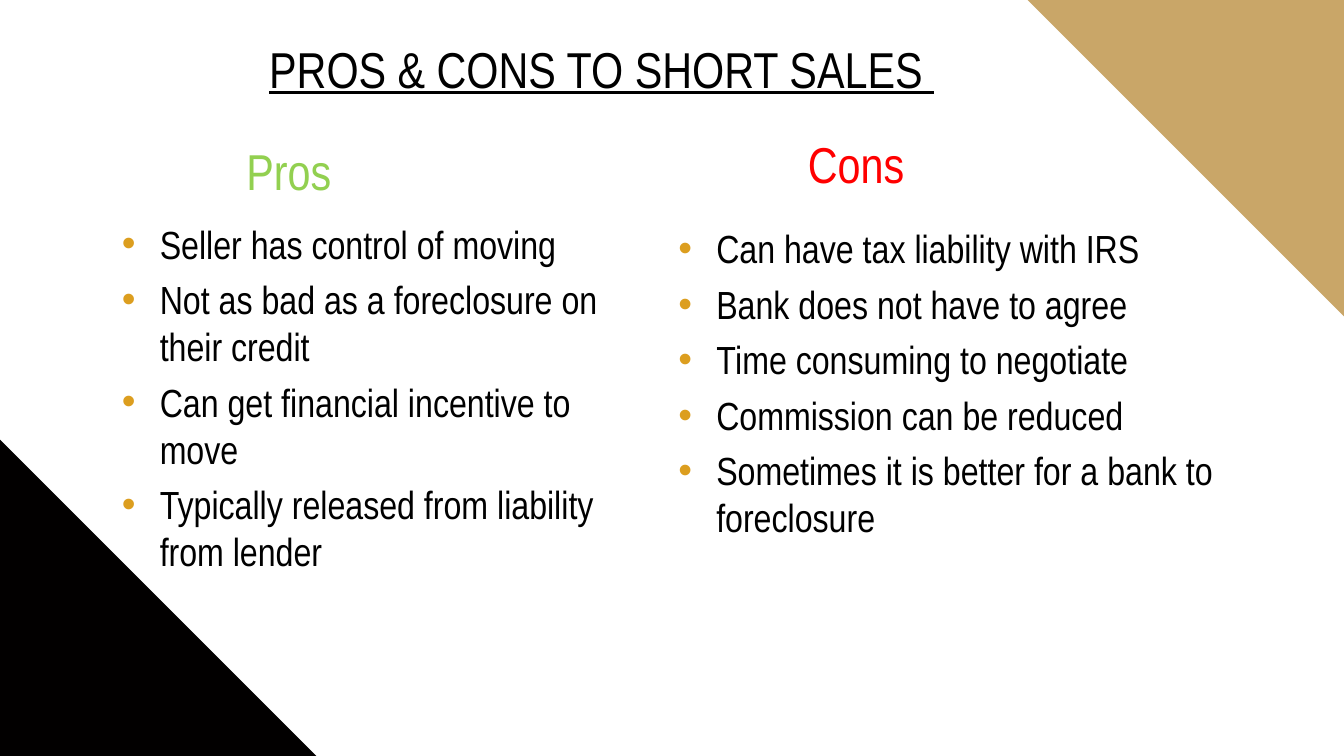
from dataclasses import dataclass

from lxml.etree import SubElement
from pptx import Presentation
from pptx.dml.color import RGBColor
from pptx.enum.shapes import MSO_SHAPE
from pptx.enum.text import PP_ALIGN
from pptx.oxml.ns import qn
from pptx.util import Pt


@dataclass(frozen=True)
class Theme:
    """Colours, font and type sizes of the slide."""

    font: str = "Arial Narrow"
    heading_size: int = 36
    list_size: int = 28
    text: str = "000000"
    pros: str = "92D050"
    cons: str = "FF0000"
    bullet: str = "DC9E1F"
    dark_corner: str = "020000"
    gold_corner: str = "C9A668"


THEME = Theme()
PAGE_WIDTH, PAGE_HEIGHT = 960, 540
CORNER_SIDE = 226
INSET = 3.6
INDENT = 27

PROS = [
    "Seller has control of moving",
    "Not as bad as a foreclosure on their credit",
    "Can get financial incentive to move",
    "Typically released from liability from lender",
]
CONS = [
    "Can have tax liability with IRS",
    "Bank does not have to agree",
    "Time consuming to negotiate",
    "Commission can be reduced",
    "Sometimes it is better for a bank to foreclosure",
]


def add_corner(page, left, top, color, rotation=0):
    """Draw a right triangle that fills one corner of the slide."""
    corner = page.shapes.add_shape(
        MSO_SHAPE.RIGHT_TRIANGLE, Pt(left), Pt(top), Pt(CORNER_SIDE), Pt(CORNER_SIDE)
    )
    corner.rotation = rotation
    corner.shadow.inherit = False
    corner.fill.solid()
    corner.fill.fore_color.rgb = RGBColor.from_string(color)
    corner.line.fill.background()


def add_bullet(para):
    """Give a paragraph a coloured bullet and a hanging indent."""
    properties = para._p.get_or_add_pPr()
    properties.set("marL", str(Pt(INDENT)))
    properties.set("indent", str(-Pt(INDENT)))
    color = SubElement(properties, qn("a:buClr"))
    SubElement(color, qn("a:srgbClr"), val=THEME.bullet)
    SubElement(properties, qn("a:buFont"), typeface="Arial")
    SubElement(properties, qn("a:buChar"), char="•")


def add_text(page, lines, left, top, width, height, *, size=THEME.heading_size,
             color=THEME.text, align=PP_ALIGN.LEFT, underline=None,
             line_spacing=None, bullets=False, wrap=False):
    """Place a text box with one paragraph for each line."""
    box = page.shapes.add_textbox(Pt(left), Pt(top), Pt(width), Pt(height))
    frame = box.text_frame
    frame.word_wrap = wrap
    frame.margin_left = frame.margin_right = Pt(INSET)
    frame.margin_top = frame.margin_bottom = Pt(INSET)
    for index, line in enumerate(lines):
        para = frame.add_paragraph() if index else frame.paragraphs[0]
        para.alignment = align
        if line_spacing:
            para.line_spacing = line_spacing
        if index:
            para.space_before = Pt(6)
        if bullets:
            add_bullet(para)
        span = para.add_run()
        span.text = line
        span.font.name = THEME.font
        span.font.size = Pt(size)
        span.font.underline = underline
        span.font.color.rgb = RGBColor.from_string(color)


def add_list(page, lines, left, top, width, height):
    """Place a bulleted list."""
    add_text(page, lines, left, top, width, height,
             size=THEME.list_size, bullets=True, wrap=True)


def main():
    """Build the slide and save the deck."""
    deck = Presentation()
    deck.slide_width, deck.slide_height = Pt(PAGE_WIDTH), Pt(PAGE_HEIGHT)
    page = deck.slides.add_slide(deck.slide_layouts[6])
    add_text(page, ["PROS & CONS TO SHORT SALES "], 188, 24, 484, 49,
             align=PP_ALIGN.CENTER, underline=True)
    add_corner(page, 0, PAGE_HEIGHT - CORNER_SIDE, THEME.dark_corner)
    add_corner(page, PAGE_WIDTH - CORNER_SIDE, 0, THEME.gold_corner, rotation=180)
    add_text(page, ["Pros"], 172.5, 96.5, 80, 49, color=THEME.pros)
    add_text(page, ["Cons"], 573, 96.5, 77, 49, color=THEME.cons,
             align=PP_ALIGN.CENTER, line_spacing=0.9)
    add_list(page, PROS, 83.5, 153.5, 356.5, 251)
    add_list(page, CONS, 481, 157, 411, 226)
    deck.save("out.pptx")


if __name__ == "__main__":
    main()
